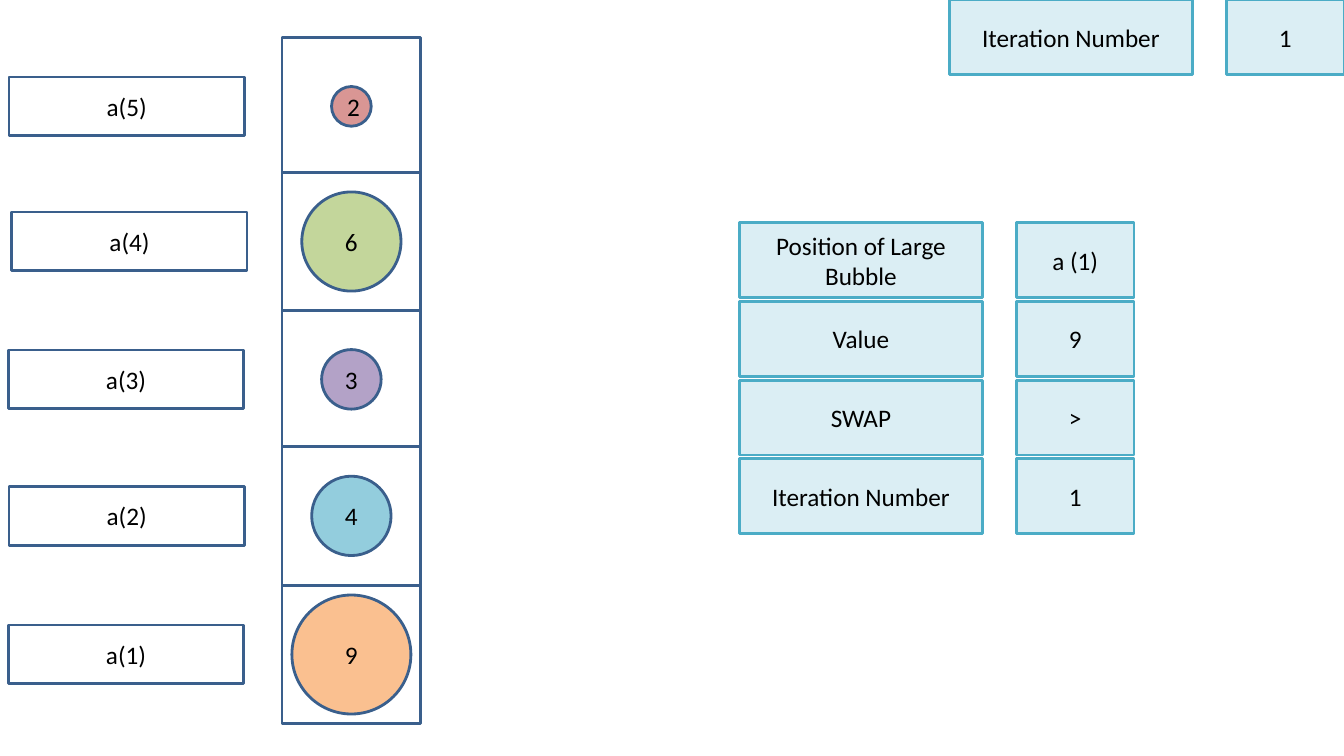
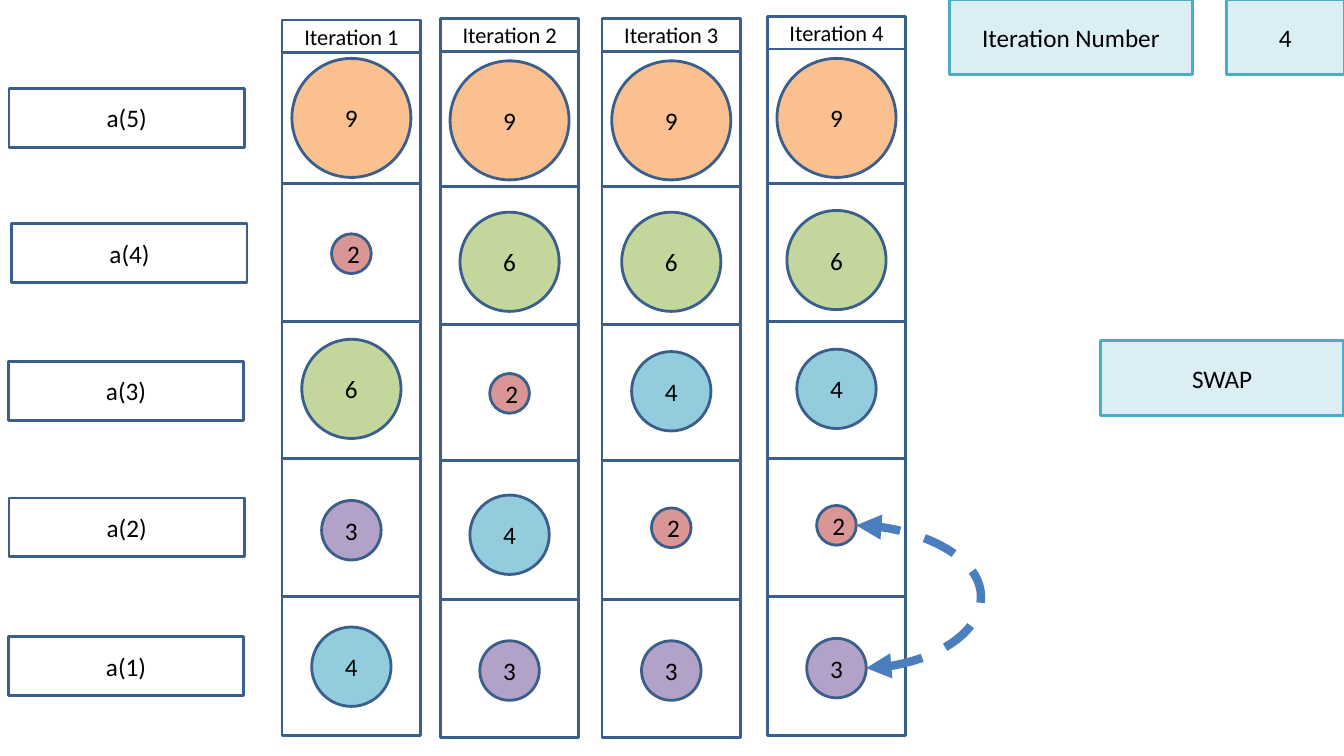
"""Build two slides that show a bubble sort."""
from lxml.etree import SubElement
from pptx import Presentation
from pptx.dml.color import RGBColor as Rgb
from pptx.enum.dml import MSO_LINE as Dash
from pptx.enum.shapes import MSO_CONNECTOR as Link, MSO_SHAPE as Kind
from pptx.enum.text import MSO_ANCHOR as Anchor, PP_ALIGN as Align
from pptx.oxml.ns import qn
from pptx.util import Pt

HUES = {
    "text": "000000", "cell": "FFFFFF", "edge": "3A5F8C",
    "tag": "DBEEF4", "rim": "4BACC6", "arrow": "4B7EBC",
    "9": "FAC090", "2": "D99694", "6": "C3D69B", "3": "B3A2C7", "4": "93CDDD",
}
RANKS = "23469"
FONT = "Calibri"
UNIT = 14.17
CELL = 99
DROPS = (0, 96.5, 195, 292.5, 391.5)
LABELS = (("a(5)", 6.5), ("a(4)", 8.5), ("a(3)", 6), ("a(2)", 6.5), ("a(1)", 6))
LEFT = 201.5
FLAT = (0,) * len(DROPS)
TAG_W, TAG_H, VAL_W, VAL_X = 174, 53.5, 84, 198


def hue(name):
    """Return the named colour."""
    return Rgb.from_string(HUES[name])


def write(shape, text, size=18, color="text"):
    """Set centred text in a shape."""
    frame = shape.text_frame
    frame.vertical_anchor = Anchor.MIDDLE
    para = frame.paragraphs[0]
    para.alignment = Align.CENTER
    run = para.add_run()
    run.text = text
    run.font.name = FONT
    run.font.size = Pt(size)
    run.font.color.rgb = hue(color)


def draw(slide, box, text="", kind=Kind.RECTANGLE, fill="cell", line="edge", **form):
    """Add a filled and outlined shape."""
    shape = slide.shapes.add_shape(kind, *map(Pt, box))
    shape.shadow.inherit = False
    shape.fill.solid()
    shape.fill.fore_color.rgb = hue(fill)
    shape.line.color.rgb = hue(line)
    shape.line.width = Pt(2)
    if text:
        write(shape, text, **form)
    return shape


def index(slide, top):
    """Label the rows of a column that starts at top."""
    high = 42
    for (text, left), drop in zip(LABELS, DROPS):
        draw(slide, (left, top + drop + (CELL - high) / 2, 168, high), text)


def column(slide, left, top, order, shifts=FLAT):
    """Stack cells with their bubbles and return the bubbles by value."""
    for drop in DROPS:
        draw(slide, (left, top + drop, CELL, CELL))
    balls = {}
    for value, drop, shift in zip(order, DROPS, shifts):
        size = UNIT * (RANKS.index(value) + 2)
        gap = (CELL - size) / 2
        box = (left + gap, top + drop + gap + shift, size, size)
        balls[value] = draw(slide, box, value, Kind.OVAL, value)
    return balls


def tag(slide, left, top, text, value=""):
    """Place a tinted label and its value box, if any."""
    draw(slide, (left, top, TAG_W, TAG_H), text, fill="tag", line="rim")
    if value:
        draw(slide, (left + VAL_X, top, VAL_W, TAG_H), value, fill="tag", line="rim")


def swap(slide, low, high, bulge):
    """Join the right sides of two bubbles with a bowed double arrow."""
    ends = [(ball.left + ball.width, ball.top + ball.height // 2) for ball in (low, high)]
    link = slide.shapes.add_connector(Link.CURVE, *ends[0], *ends[1])
    link.line.color.rgb = hue("arrow")
    link.line.width = Pt(6)
    link.line.dash_style = Dash.DASH
    props = link.element.spPr
    for end in ("a:headEnd", "a:tailEnd"):
        SubElement(props.find(qn("a:ln")), qn(end), type="triangle")
    SubElement(props, qn("a:effectLst"))
    bend = round(-100000 * Pt(bulge) / link.width)
    guides = props.find(qn("a:prstGeom")).find(qn("a:avLst"))
    SubElement(guides, qn("a:gd"), name="adj1", fmla=f"val {bend}")


def start(slide):
    """Show the array at the first iteration with its status table."""
    top = 26.5
    column(slide, LEFT, top, "26349")
    index(slide, top)
    tag(slide, 678, 0, "Iteration Number", "1")
    rows = (("Position of Large Bubble", "a (1)"), ("Value", "9"),
            ("SWAP", ">"), ("Iteration Number", "1"))
    for row, (text, value) in enumerate(rows):
        tag(slide, 528, 159 + 56.25 * row, text, value)


def finish(slide):
    """Show the array after each of four iterations."""
    tag(slide, 678, 0, "Iteration Number", "4")
    index(slide, 34.75)
    stacks = (
        (LEFT, 34.75, 14.25, "92634", (0, 0.5, -1.5, 2, 0.5)),
        (314.5, 36.5, 13, "96243", (0, 4.5, 0, 3.5, 1.5)),
        (430, 36.5, 13, "96423", (0, 4.5, -1.5, -1.5, 1.5)),
        (548, 34.75, 11.5, "96423", (0, 5, -1.5, -1.5, 1.5)),
    )
    for turn, (left, top, head, order, shifts) in enumerate(stacks, 1):
        balls = column(slide, left, top, order, shifts)
        draw(slide, (left, head, CELL, 23.5), f"Iteration {turn}", size=16)
    swap(slide, balls["3"], balls["2"], 82)
    tag(slide, 786, 243.5, "SWAP")


def main():
    """Build and save the deck."""
    deck = Presentation()
    deck.slide_width, deck.slide_height = Pt(960), Pt(540)
    for build in (start, finish):
        build(deck.slides.add_slide(deck.slide_layouts[6]))
    deck.save("out.pptx")


if __name__ == "__main__":
    main()
